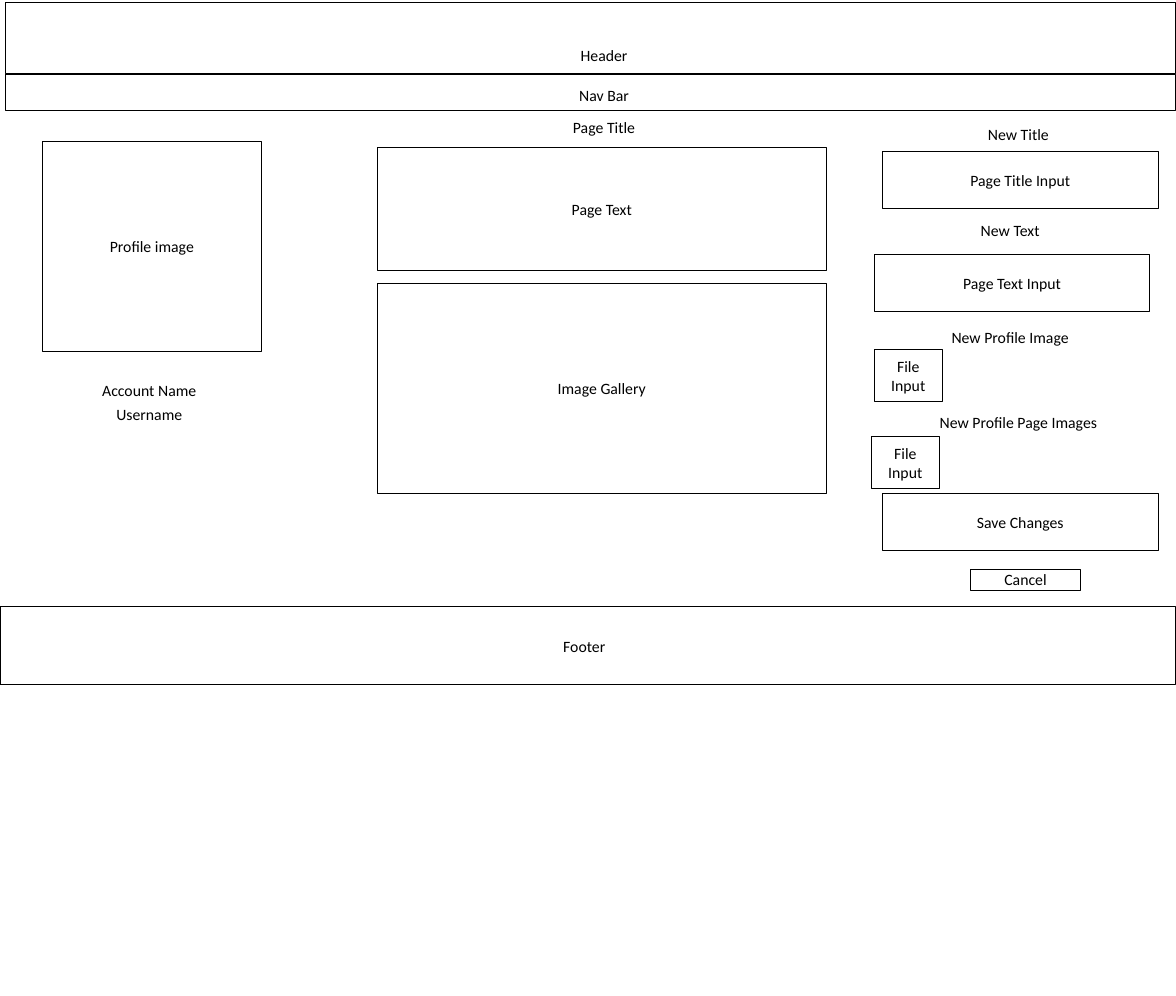
from pptx import Presentation
from pptx.dml.color import RGBColor
from pptx.enum.shapes import MSO_SHAPE
from pptx.enum.text import MSO_ANCHOR, MSO_AUTO_SIZE, PP_ALIGN
from pptx.util import Inches, Pt

RECTANGLE = MSO_SHAPE.RECTANGLE
CENTER = PP_ALIGN.CENTER
TOP, MIDDLE = MSO_ANCHOR.TOP, MSO_ANCHOR.MIDDLE
NO_AUTOFIT = MSO_AUTO_SIZE.NONE

PAGE_W, PAGE_H = 63 / 4, 40 / 3
BLACK = "000000"
LABEL_W, LABEL_H = 4.97, 0.36

BAND_LEFT = 0.07
GALLERY_LEFT, GALLERY_W = 5.05, 6.02
FORM_LEFT, FORM_INDENTED = 11.71, 11.82
PICTURE_H = 2.82
FIELD = (3.69, 0.76)
FILE_FIELD = (0.91, 0.7)

PAGE_CENTER = 8.09
ACCOUNT_CENTER = 2
FORM_CENTER, FORM_INDENTED_CENTER = 13.53, 13.64

bands = [
    (BAND_LEFT, 0.04, PAGE_W - BAND_LEFT, 0.94),
    (BAND_LEFT, 1, PAGE_W - BAND_LEFT, 0.48),
    (0, 8.12, PAGE_W, 1.05),
]
page_title = ("Page Title", PAGE_CENTER, 1.53)
labels = [
    ("Header", PAGE_CENTER, 0.57),
    ("Nav Bar", PAGE_CENTER, 1.1),
    ("Footer", PAGE_W / 2 - 0.05, 8.47),
    ("Account Name", ACCOUNT_CENTER, 5.05),
    ("Username", ACCOUNT_CENTER, 5.37),
    ("New Title", FORM_INDENTED_CENTER, 1.62),
    ("New Text", FORM_CENTER, 2.91),
    ("New Profile Image", FORM_CENTER, 4.34),
    ("New Profile Page Images", FORM_INDENTED_CENTER, 5.48),
]
panels = [
    ("Profile image", 0.57, 1.89, 2.93, PICTURE_H),
    ("Image Gallery", GALLERY_LEFT, 3.79, GALLERY_W, PICTURE_H),
    ("Page Text", GALLERY_LEFT, 1.98, GALLERY_W, 1.64),
    ("Page Title Input", FORM_INDENTED, 2.03, *FIELD),
    ("Page Text Input", FORM_LEFT, 3.41, *FIELD),
    ("File Input", FORM_LEFT, 4.68, *FILE_FIELD),
    ("File Input", FORM_LEFT - 0.04, 5.84, *FILE_FIELD),
    ("Save Changes", FORM_INDENTED, 6.61, *FIELD),
    ("Cancel", 13, 7.62, 1.47, 0.28),
]


def color(value):
    return RGBColor.from_string(value)


def write(shape, text, size=15.2, font="Calibri", ink=BLACK, anchor=MIDDLE):
    frame = shape.text_frame
    frame.word_wrap = True
    frame.auto_size = NO_AUTOFIT
    frame.vertical_anchor = anchor
    paragraph = frame.paragraphs[0]
    paragraph.alignment = CENTER
    paragraph.line_spacing = 1.0
    paragraph.space_before = Pt(0)
    run = paragraph.add_run()
    run.text = text
    run.font.size = Pt(size)
    run.font.name = font
    run.font.color.rgb = color(ink)


def outline(left, top, width, height):
    box = slide.shapes.add_shape(RECTANGLE, *map(Inches, (left, top, width, height)))
    box.shadow.inherit = False
    box.fill.background()
    box.line.color.rgb = color(BLACK)
    box.line.width = Pt(1)
    return box


def label_area(center, top):
    return map(Inches, (center - LABEL_W / 2, top, LABEL_W, LABEL_H))


deck = Presentation()
deck.slide_width, deck.slide_height = Inches(PAGE_W), Inches(PAGE_H)
slide = deck.slides.add_slide(deck.slide_layouts.get_by_name("Title Only"))

for band in bands:
    outline(*band)

title_text, title_center, title_top = page_title
heading = slide.shapes.title
heading.left, heading.top, heading.width, heading.height = label_area(title_center, title_top)
write(heading, title_text, anchor=TOP)

for text, center, top in labels:
    write(slide.shapes.add_textbox(*label_area(center, top)), text, anchor=TOP)

for text, *area in panels:
    write(outline(*area), text)

deck.save("out.pptx")
